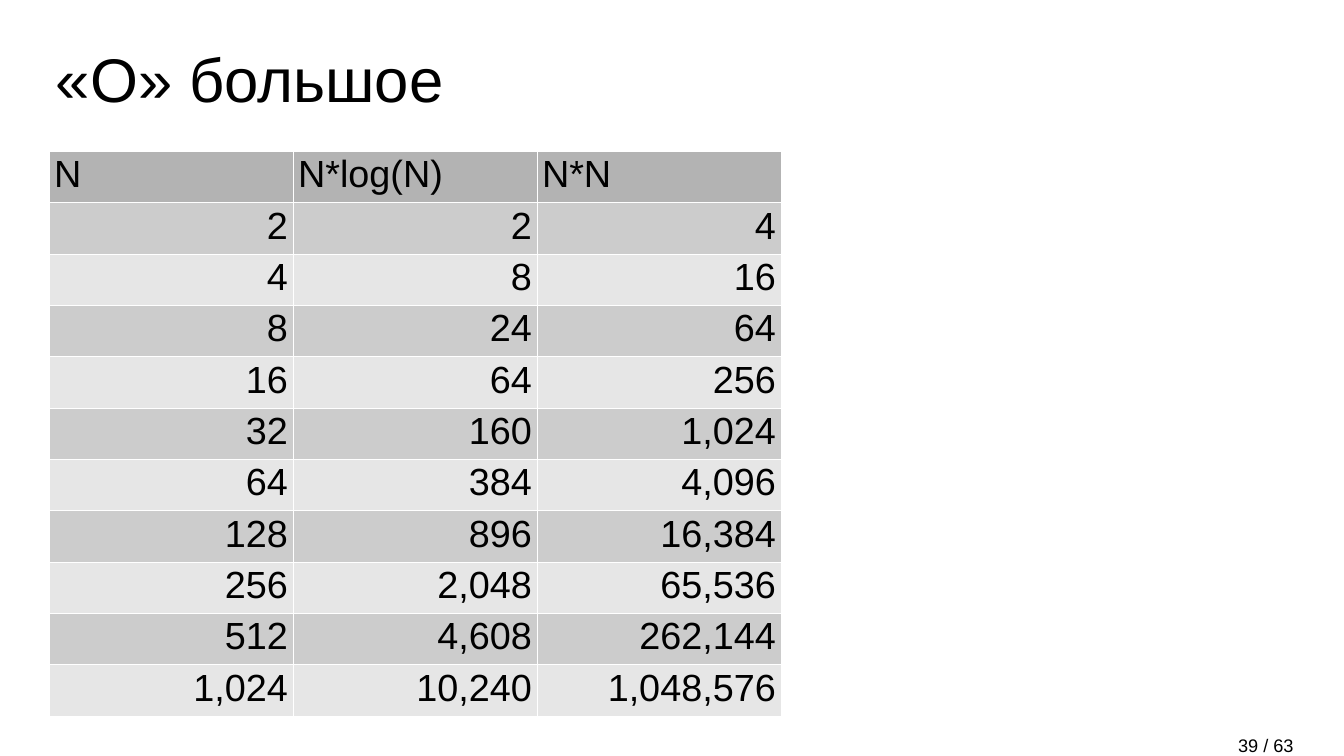
"""Build the slide that compares the growth of N, N*log(N) and N*N."""
from dataclasses import dataclass

from lxml import etree
from pptx import Presentation
from pptx import util as u
from pptx.dml.color import RGBColor
from pptx.enum import text
from pptx.oxml import ns

PX_PER_INCH = 50.4
FONT = "Arial"
BLACK, WHITE = "000000", "FFFFFF"
HEADER_FILL = "B3B3B3"
BAND_FILLS = ("CCCCCC", "E6E6E6")
BORDER_PT = 0.06


@dataclass(frozen=True)
class Label:
    """A line of text in its own box, measured in pixels."""
    words: str
    left: int
    top: int
    width: int
    height: int
    size: int
    left_inset: int = 5
    line_pt: int | None = None


LABELS = (
    Label("«О» большое", 56, 42, 1231, 84, 88, left_inset=0, line_pt=100),
    Label("39 / 63", 1233, 732, 129, 25, 26),
)
TABLE_LEFT, TABLE_TOP, TABLE_WIDTH, TABLE_HEIGHT = 49, 151, 732, 565
HEADINGS = ("N", "N*log(N)", "N*N")
EXPONENTS = range(1, 11)


def px(length: int) -> int:
    """Turn pixels into EMU."""
    return u.Inches(length / PX_PER_INCH)


def colour(value: str) -> RGBColor:
    """Turn a hex string into a colour."""
    return RGBColor.from_string(value)


def style_paragraph(paragraph, size: int) -> None:
    """Set the font of a paragraph."""
    font = paragraph.font
    font.name, font.size = FONT, u.Pt(size)
    font.color.rgb = colour(BLACK)


def add_label(slide, label: Label) -> None:
    """Add one text box."""
    box = slide.shapes.add_textbox(
        px(label.left), px(label.top), px(label.width), px(label.height))
    frame = box.text_frame
    frame.word_wrap = True
    frame.margin_left = px(label.left_inset)
    paragraph = frame.paragraphs[0]
    paragraph.text = label.words
    style_paragraph(paragraph, label.size)
    if label.line_pt:
        paragraph.line_spacing = u.Pt(label.line_pt)


def add_borders(cell) -> None:
    """Draw a thin white line on each side of a cell."""
    properties = cell._tc.get_or_add_tcPr()
    for index, side in enumerate(("lnL", "lnR", "lnT", "lnB")):
        line = etree.Element(ns.qn(f"a:{side}"), w=str(u.Pt(BORDER_PT)))
        fill = etree.SubElement(line, ns.qn("a:solidFill"))
        etree.SubElement(fill, ns.qn("a:srgbClr"), val=WHITE)
        properties.insert(index, line)


def fill_cell(cell, words: str, fill: str, align: text.PP_ALIGN) -> None:
    """Write and colour one table cell."""
    cell.fill.solid()
    cell.fill.fore_color.rgb = colour(fill)
    add_borders(cell)
    paragraph = cell.text_frame.paragraphs[0]
    paragraph.text = words
    paragraph.alignment = align
    style_paragraph(paragraph, 54)


def growth_row(exponent: int) -> tuple[str, ...]:
    """Give N, N*log(N) and N*N for a power of two."""
    n = 2 ** exponent
    return tuple(f"{value:,}" for value in (n, n * exponent, n * n))


def add_growth_table(slide) -> None:
    """Add the table of growth rates."""
    rows = [HEADINGS, *map(growth_row, EXPONENTS)]
    table = slide.shapes.add_table(
        len(rows), len(HEADINGS), px(TABLE_LEFT), px(TABLE_TOP),
        px(TABLE_WIDTH), px(TABLE_HEIGHT)).table
    for index, row in enumerate(rows):
        fill = BAND_FILLS[(index - 1) % 2] if index else HEADER_FILL
        align = text.PP_ALIGN.RIGHT if index else text.PP_ALIGN.LEFT
        for column, words in enumerate(row):
            fill_cell(table.cell(index, column), words, fill, align)
    table.first_row = table.horz_banding = False


def main() -> None:
    """Build and save the slide."""
    deck = Presentation()
    deck.slide_width, deck.slide_height = px(1344), px(756)
    slide = deck.slides.add_slide(deck.slide_layouts[6])
    for label in LABELS:
        add_label(slide, label)
    add_growth_table(slide)
    deck.save("out.pptx")


main()
